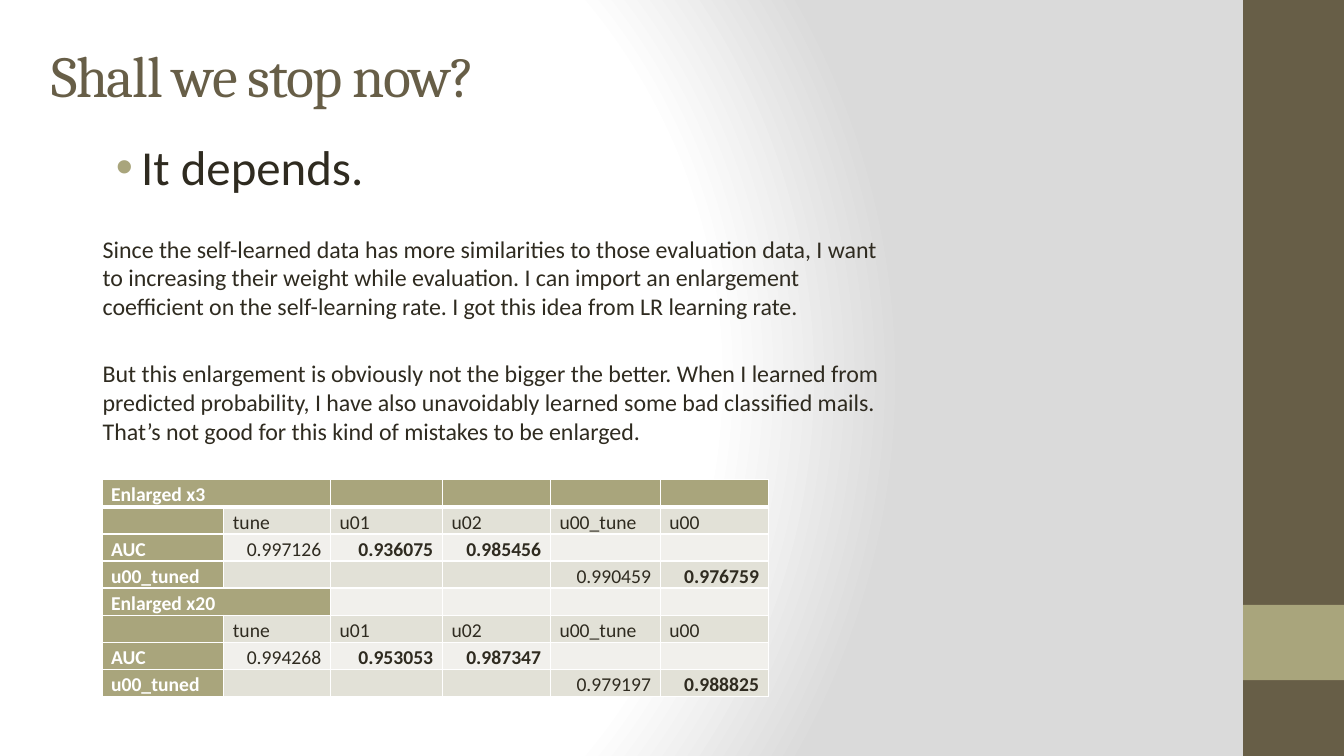
from pptx import Presentation, util as u
from pptx.dml.color import RGBColor
from pptx.enum import shapes, text
from pptx.oxml import parse_xml
from pptx.oxml.ns import nsdecls

COLORS = {"brown": "675E47", "olive": "A9A57C", "ink": "2F2B20", "white": "FFFFFF",
          "band": "E2E1D7", "pale": "F1F0EC", "grey": "DADADA"}
NS = nsdecls("a", "p")


def rgb(name):
    return RGBColor.from_string(COLORS[name])


class Deck:
    """Holds the style and the current slide."""
    heading_font, body_font = "Cambria", "Calibri"

    def __init__(self):
        self.presentation = Presentation()
        self.presentation.slide_width = u.Cm(33.87)
        self.presentation.slide_height = u.Cm(19.05)
        self.slide = self.presentation.slides.add_slide(self.presentation.slide_layouts[5])

    def background(self, stops, left, top, right, bottom):
        stop_xml = "".join(
            f'<a:gs pos="{position * 1000}"><a:srgbClr val="{COLORS[color]}"/></a:gs>'
            for position, color in stops)
        self.slide.element.cSld.insert(0, parse_xml(
            f'<p:bg {NS}><p:bgPr><a:gradFill rotWithShape="1"><a:gsLst>{stop_xml}</a:gsLst>'
            f'<a:path path="circle"><a:fillToRect l="{left * 1000}" t="{top * 1000}" '
            f'r="{right * 1000}" b="{bottom * 1000}"/></a:path></a:gradFill>'
            '<a:effectLst/></p:bgPr></p:bg>'))

    def bar(self, left, top, width, height, color):
        shape = self.slide.shapes.add_shape(
            shapes.MSO_SHAPE.RECTANGLE, *map(u.Cm, (left, top, width, height)))
        shape.shadow.inherit = False
        shape.fill.solid()
        shape.fill.fore_color.rgb = rgb(color)
        shape.line.fill.background()

    def run(self, paragraph, words, size, color="ink", font=body_font, bold=False):
        run = paragraph.add_run()
        run.text = words
        run.font.size, run.font.name, run.font.bold = u.Pt(size), font, bold
        run.font.color.rgb = rgb(color)
        return run

    def title(self, words, left, top, width, height):
        shape = self.slide.shapes.title
        shape.left, shape.top, shape.width, shape.height = map(u.Cm, (left, top, width, height))
        frame = shape.text_frame
        frame.auto_size = text.MSO_AUTO_SIZE.NONE
        frame.vertical_anchor = text.MSO_ANCHOR.MIDDLE
        frame.paragraphs[0].alignment = text.PP_ALIGN.LEFT
        run = self.run(frame.paragraphs[0], words, 41.4, "brown", self.heading_font)
        run.font._element.set("spc", "-100")

    def body(self, bullet, paragraphs, left, top, width, height):
        frame = self.slide.shapes.add_textbox(
            *map(u.Cm, (left, top, width, height))).text_frame
        frame.word_wrap = True
        lead = frame.paragraphs[0]
        self.run(lead, bullet, 34.9)
        properties = lead._p.get_or_add_pPr()
        properties.set("marL", str(u.Cm(0.97)))
        properties.set("indent", str(u.Cm(-0.64)))
        properties.append(parse_xml(
            f'<a:buClr {NS}><a:srgbClr val="{COLORS["olive"]}"/></a:buClr>'))
        properties.append(parse_xml(f'<a:buFont {NS} typeface="Arial"/>'))
        properties.append(parse_xml(f'<a:buChar {NS} char="•"/>'))
        for words in paragraphs:
            paragraph = frame.add_paragraph()
            paragraph.space_before = u.Pt(27.5)
            self.run(paragraph, words, 17.1)

    def cell(self, cell, words, fill, color="ink", bold=False, right=False, top=1, bottom=1):
        cell.margin_left = cell.margin_right = u.Cm(0.23)
        cell.margin_top = cell.margin_bottom = 0
        cell.vertical_anchor = text.MSO_ANCHOR.BOTTOM
        paragraph = cell.text_frame.paragraphs[0]
        paragraph.line_spacing = 1.15
        paragraph.alignment = text.PP_ALIGN.RIGHT if right else text.PP_ALIGN.LEFT
        if words:
            self.run(paragraph, words, 14, color, bold=bold)
        else:
            paragraph._p.append(parse_xml(f'<a:endParaRPr {NS} sz="1400"/>'))
        properties = cell._tc.get_or_add_tcPr()
        for side, points in (("L", 1), ("R", 1), ("T", top), ("B", bottom)):
            properties.append(parse_xml(
                f'<a:ln{side} {NS} w="{u.Pt(points)}"><a:solidFill>'
                f'<a:srgbClr val="{COLORS["white"]}"/></a:solidFill></a:ln{side}>'))
        cell.fill.solid()
        cell.fill.fore_color.rgb = rgb(fill)

    def table(self, rows, widths, left, top, row_height):
        table = self.slide.shapes.add_table(
            len(rows), len(widths), u.Cm(left), u.Cm(top),
            u.Cm(sum(widths)), u.Cm(row_height * len(rows))).table
        table.first_row = table.horz_banding = False
        for column, width in zip(table.columns, widths):
            column.width = u.Cm(width)
        for i, row in enumerate(rows):
            table.rows[i].height = u.Cm(row_height)
            section = row[0].startswith("Enlarged")
            for j, words in enumerate(row):
                label = i == 0 or j == 0 or (section and j == 1)
                number = words.startswith("0.")
                self.cell(table.cell(i, j), words,
                          "olive" if label else "band" if i % 2 else "pale",
                          color="white" if label else "ink",
                          bold=label or (number and j in BOLD_COLUMNS), right=number,
                          top=3 if i == 1 else 1, bottom=3 if i == 0 else 1)
            if section:
                table.cell(i, 0).merge(table.cell(i, 1))


BOLD_COLUMNS = (2, 3, 5)
RESULTS = {
    "Enlarged x3": ("0.997126", "0.936075", "0.985456", "0.990459", "0.976759"),
    "Enlarged x20": ("0.994268", "0.953053", "0.987347", "0.979197", "0.988825"),
}

deck = Deck()

# Backdrop and side bars
deck.background([(0, "white"), (75, "white"), (100, "grey")], 20, 50, 100, 50)
deck.bar(31.33, 0, 2.54, 19.05, "brown")
deck.bar(31.33, 15.24, 2.54, 1.9, "olive")

# Title and explanation
deck.title("Shall we stop now?", 1.04, 0.99, 14.02, 1.78)
deck.body("It depends.", [
    "Since the self-learned data has more similarities to those evaluation data, I want to "
    "increasing their weight while evaluation. I can import an enlargement coefficient on the "
    "self-learning rate. I got this idea from LR learning rate.",
    "But this enlargement is obviously not the bigger the better. When I learned from predicted "
    "probability, I have also unavoidably learned some bad classified mails. That’s not good "
    "for this kind of mistakes to be enlarged.",
], 2.34, 3.33, 20.27, 7.85)

# Results: one block of four rows per enlargement
rows = []
for heading, values in RESULTS.items():
    rows += [(heading, *[""] * 5),
             ("", "tune", "u01", "u02", "u00_tune", "u00"),
             ("AUC", *values[:3], "", ""),
             ("u00_tuned", "", "", "", *values[3:])]
deck.table(rows, (3.07, 2.69, 2.82, 2.72, 2.77, 2.72), 2.57, 12.09, 0.68)

deck.presentation.save("out.pptx")
